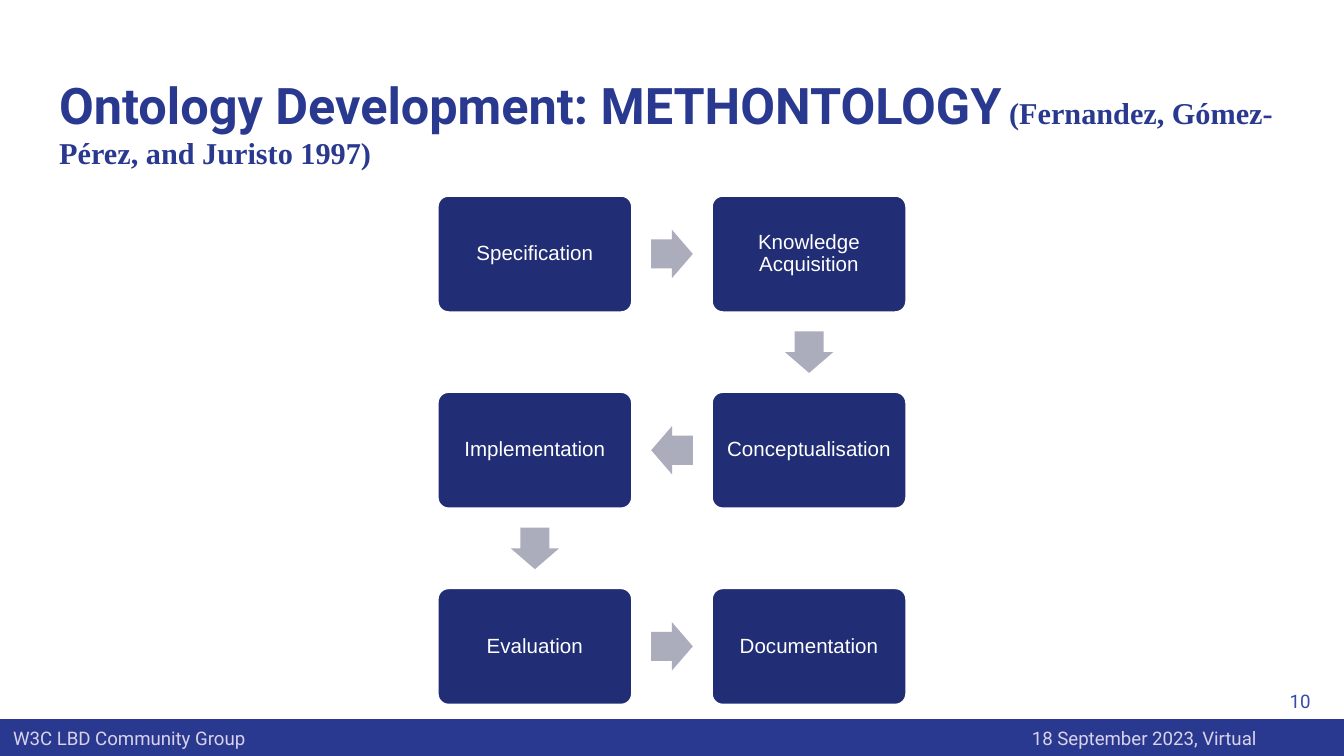
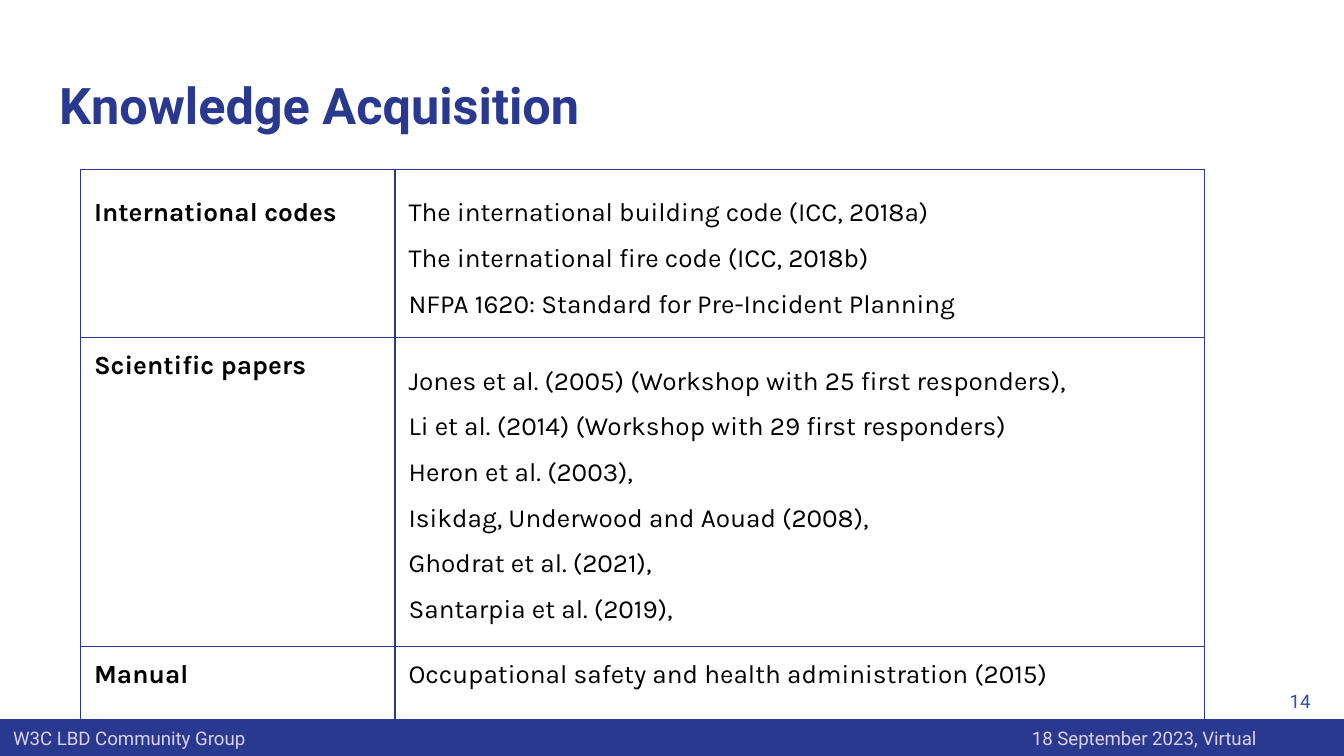
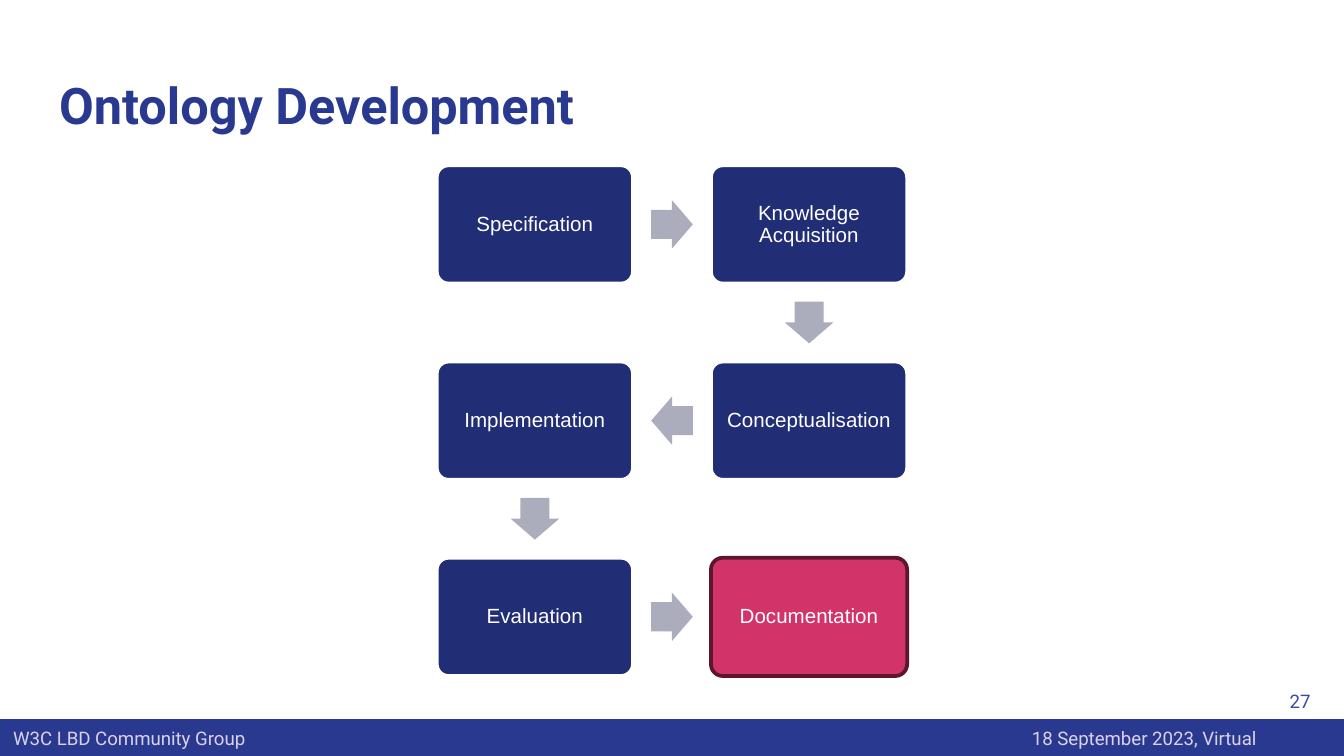
from dataclasses import dataclass

from lxml import etree
from pptx import Presentation
from pptx.dml.color import RGBColor
from pptx.enum import shapes, text
from pptx.oxml import ns
from pptx.util import Inches, Pt


@dataclass(frozen=True)
class Theme:
    navy: str = "2A3990"
    indigo: str = "3949AB"
    lilac: str = "D9D2E9"
    step: str = "212D74"
    arrow: str = "ACADBC"
    highlight: str = "D23369"
    highlight_edge: str = "5C162E"
    white: str = "FFFFFF"
    black: str = "000000"
    heading_font: str = "Roboto"
    citation_font: str = "Times New Roman"
    table_font: str = "Karla"
    step_font: str = "Arial"
    title_size: float = 27
    citation_size: float = 16.2
    table_size: float = 14
    step_size: float = 11
    small_size: float = 10


THEME = Theme()

FOOTER = "W3C LBD Community Group\t18 September 2023, Virtual"

# Each step: name, column, row, in the order of the process
STEPS = [
    ("Specification", 0, 0),
    ("Knowledge Acquisition", 1, 0),
    ("Conceptualisation", 1, 1),
    ("Implementation", 0, 1),
    ("Evaluation", 0, 2),
    ("Documentation", 1, 2),
]
STEP_LEFT, STEP_WIDTH, STEP_HEIGHT = 3.25, 1.46, 0.88
COLUMN_PITCH, ROW_PITCH = 2.04, 1.46
ARROW_WIDTH, ARROW_HEIGHT = 0.31, 0.36
ARROW_ANGLES = {(1, 0): 0, (0, 1): 90, (-1, 0): 180}

# Each row: category, its line spacing, sources, their line spacing
SOURCES = [
    ("International codes", 1.5, [
        "The international building code (ICC, 2018a)",
        "The international fire code (ICC, 2018b)",
        "NFPA 1620: Standard for Pre-Incident Planning",
    ], 1.5),
    ("Scientific papers", 1, [
        "Jones et al. (2005) (Workshop with 25 first responders),",
        "Li et al. (2014) (Workshop with 29 first responders)",
        "Heron et al. (2003),",
        "Isikdag, Underwood and Aouad (2008),",
        "Ghodrat et al. (2021),",
        "Santarpia et al. (2019),",
    ], 1.5),
    ("Manual", 1, ["Occupational safety and health administration (2015)"], 1),
]
COLUMN_WIDTHS = [2.34, 6.02]
ROW_HEIGHTS = [1.17, 2.19, 0.58]
TABLE_HEIGHT = 4.04


def rgb(color):
    return RGBColor.from_string(color)


def style_runs(paragraph, name, size, color, bold=False):
    for run in paragraph.runs:
        run.font.name = name
        run.font.size = Pt(size)
        run.font.color.rgb = rgb(color)
        run.font.bold = bold


def set_insets(frame, horizontal, vertical):
    frame.margin_left = frame.margin_right = Inches(horizontal)
    frame.margin_top = frame.margin_bottom = Inches(vertical)


def add_filled(parent, kind, left, top, width, height, fill, edge=None):
    shape = parent.shapes.add_shape(
        kind, Inches(left), Inches(top), Inches(width), Inches(height))
    shape.shadow.inherit = False
    shape.fill.solid()
    shape.fill.fore_color.rgb = rgb(fill)
    if edge:
        shape.line.color.rgb = rgb(edge)
        shape.line.width = Pt(2)
    else:
        shape.line.fill.background()
    return shape


def add_title(slide, heading, citation):
    title = slide.shapes.title
    title.left, title.top = Inches(0.34), Inches(0.45)
    title.width, title.height = Inches(9.32), Inches(0.66)
    frame = title.text_frame
    frame.auto_size = text.MSO_AUTO_SIZE.NONE
    frame.vertical_anchor = text.MSO_ANCHOR.TOP
    frame.word_wrap = True
    set_insets(frame, 0.1, 0.1)
    paragraph = frame.paragraphs[0]
    paragraph.text = heading
    paragraph.alignment = text.PP_ALIGN.LEFT
    style_runs(paragraph, THEME.heading_font, THEME.title_size, THEME.navy, True)
    if citation:
        run = paragraph.add_run()
        run.text = " " + citation
        run.font.name = THEME.citation_font
        run.font.size = Pt(THEME.citation_size)
        run.font.color.rgb = rgb(THEME.navy)
        run.font.bold = True


def add_footer(slide):
    band = add_filled(slide, shapes.MSO_SHAPE.RECTANGLE, 0, 5.35, 10, 0.28, THEME.navy)
    frame = band.text_frame
    frame.vertical_anchor = text.MSO_ANCHOR.MIDDLE
    set_insets(frame, 0.1, 0)
    paragraph = frame.paragraphs[0]
    paragraph.text = FOOTER
    paragraph.alignment = text.PP_ALIGN.LEFT
    tabs = etree.SubElement(paragraph._p.get_or_add_pPr(), ns.qn("a:tabLst"))
    etree.SubElement(tabs, ns.qn("a:tab"), pos=str(Inches(7.58)), algn="l")
    style_runs(paragraph, THEME.heading_font, THEME.small_size, THEME.lilac)


def add_page_number(slide, number):
    box = slide.shapes.add_textbox(Inches(9.25), Inches(5), Inches(0.6), Inches(0.43))
    frame = box.text_frame
    frame.word_wrap = True
    frame.vertical_anchor = text.MSO_ANCHOR.MIDDLE
    set_insets(frame, 0.1, 0.1)
    paragraph = frame.paragraphs[0]
    paragraph.text = str(number)
    paragraph.alignment = text.PP_ALIGN.RIGHT
    style_runs(paragraph, THEME.heading_font, THEME.small_size, THEME.indigo)


def add_content_slide(deck, number, heading, citation=None):
    slide = deck.slides.add_slide(deck.slide_layouts[5])
    add_footer(slide)
    add_title(slide, heading, citation)
    add_page_number(slide, number)
    return slide


def add_step(parent, name, left, top, fill, edge):
    step = add_filled(parent, shapes.MSO_SHAPE.ROUNDED_RECTANGLE,
                      left, top, STEP_WIDTH, STEP_HEIGHT, fill, edge)
    step.adjustments[0] = 0.1
    frame = step.text_frame
    frame.word_wrap = True
    frame.vertical_anchor = text.MSO_ANCHOR.MIDDLE
    set_insets(frame, 0.07, 0.07)
    paragraph = frame.paragraphs[0]
    paragraph.text = name
    paragraph.alignment = text.PP_ALIGN.CENTER
    paragraph.line_spacing = 0.9
    style_runs(paragraph, THEME.step_font, THEME.step_size, THEME.white)


def add_process(slide, top, highlighted=None):
    """Draw the steps as a snake, with an arrow halfway between neighbours."""
    process = slide.shapes.add_group_shape()
    for name, column, row in STEPS:
        colors = (THEME.step, THEME.white)
        if name == highlighted:
            colors = (THEME.highlight, THEME.highlight_edge)
        add_step(process, name, STEP_LEFT + column * COLUMN_PITCH,
                 top + row * ROW_PITCH, *colors)
    for (_, column, row), (_, next_column, next_row) in zip(STEPS, STEPS[1:]):
        center_x = STEP_LEFT + (column + next_column) / 2 * COLUMN_PITCH + STEP_WIDTH / 2
        center_y = top + (row + next_row) / 2 * ROW_PITCH + STEP_HEIGHT / 2
        arrow = add_filled(process, shapes.MSO_SHAPE.RIGHT_ARROW,
                           center_x - ARROW_WIDTH / 2, center_y - ARROW_HEIGHT / 2,
                           ARROW_WIDTH, ARROW_HEIGHT, THEME.arrow)
        arrow.adjustments[0] = 0.6
        arrow.adjustments[1] = 0.5
        arrow.rotation = ARROW_ANGLES[next_column - column, next_row - row]


def set_borders(cell):
    properties = cell._tc.get_or_add_tcPr()
    for index, side in enumerate(("lnL", "lnR", "lnT", "lnB")):
        border = etree.Element(ns.qn(f"a:{side}"), w=str(Pt(0.75)))
        fill = etree.SubElement(border, ns.qn("a:solidFill"))
        etree.SubElement(fill, ns.qn("a:srgbClr"), val=THEME.navy)
        properties.insert(index, border)


def fill_cell(cell, lines, spacing, bold):
    cell.fill.background()
    set_borders(cell)
    set_insets(cell, 0.1, 0.1)
    cell.text_frame.text = "\n".join(lines)
    for paragraph in cell.text_frame.paragraphs:
        paragraph.line_spacing = float(spacing)
        style_runs(paragraph, THEME.table_font, THEME.table_size, THEME.black, bold)


def add_source_table(slide):
    table = slide.shapes.add_table(
        len(SOURCES), len(COLUMN_WIDTHS), Inches(0.6), Inches(1.26),
        Inches(sum(COLUMN_WIDTHS)), Inches(TABLE_HEIGHT)).table
    table.first_row = table.horz_banding = False
    for column, width in zip(table.columns, COLUMN_WIDTHS):
        column.width = Inches(width)
    for row, height, source in zip(table.rows, ROW_HEIGHTS, SOURCES):
        category, category_spacing, references, reference_spacing = source
        row.height = Inches(height)
        fill_cell(row.cells[0], [category], category_spacing, True)
        fill_cell(row.cells[1], references, reference_spacing, False)


def main():
    deck = Presentation()
    deck.slide_width = Inches(10)
    deck.slide_height = deck.slide_width * 9 // 16

    methontology = add_content_slide(
        deck, 10, "Ontology Development: METHONTOLOGY",
        "(Fernandez, Gómez-Pérez, and Juristo 1997)")
    add_process(methontology, top=1.45)

    acquisition = add_content_slide(deck, 14, "Knowledge Acquisition")
    add_source_table(acquisition)

    development = add_content_slide(deck, 27, "Ontology Development")
    add_process(development, top=1.23, highlighted="Documentation")

    deck.save("out.pptx")


if __name__ == "__main__":
    main()
